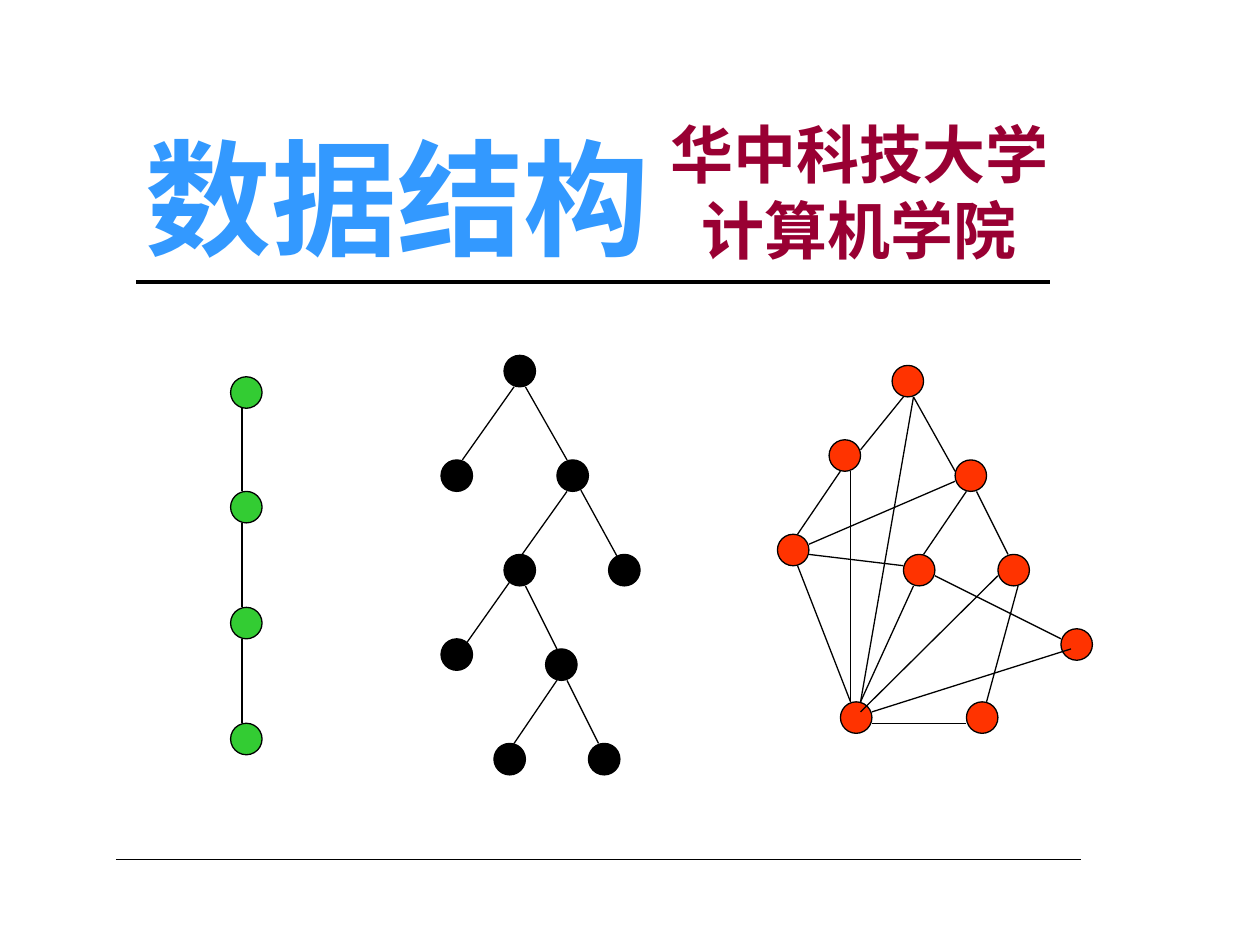
"""Build the title slide of a data structures course with a list, a tree and a graph."""
from lxml import etree
from pptx import Presentation
from pptx.dml.color import RGBColor
from pptx.enum.shapes import MSO_CONNECTOR, MSO_SHAPE
from pptx.enum.text import MSO_ANCHOR, MSO_AUTO_SIZE, PP_ALIGN
from pptx.oxml.ns import qn
from pptx.util import Pt

PX = 9144
STRAIGHT = MSO_CONNECTOR.STRAIGHT
OVAL = MSO_SHAPE.OVAL
LEFT, CENTER = PP_ALIGN.LEFT, PP_ALIGN.CENTER
TOP = MSO_ANCHOR.TOP
FIXED = MSO_AUTO_SIZE.NONE

BLACK = RGBColor(0x00, 0x00, 0x00)
GREEN = RGBColor(0x33, 0xCC, 0x33)
RED = RGBColor(0xFF, 0x33, 0x00)
BLUE = RGBColor(0x33, 0x99, 0xFF)
MAROON = RGBColor(0x99, 0x00, 0x33)

NODE_SIZE = 25
TEXT_TOP, TEXT_HEIGHT = 82, 130
LINE_HEIGHT = 1.2

HEADINGS = [
    {"lines": ["数据结构"], "left": 106, "width": 420, "inset": 14, "size": 72,
     "font": "Noto Sans CJK JP", "color": BLUE, "align": LEFT},
    {"lines": ["华中科技大学", "计算机学院"], "left": 522, "width": 320, "inset": 10, "size": 36,
     "font": "Noto Sans CJK SC", "color": MAROON, "align": CENTER},
]

RULES = [((108, 224, 833, 224), 2.25), ((92, 682, 858, 682), 0.75)]

LIST_TOPS = [299, 390, 482, 574]
LIST_NODES = [(183, top) for top in LIST_TOPS]
LIST_EDGES = [(192, top + NODE_SIZE, 192, following)
              for top, following in zip(LIST_TOPS, LIST_TOPS[1:])]

TREE_NODES = [(400, 282), (350, 365), (442, 365), (400, 440), (483, 440),
              (350, 507), (433, 515), (392, 590), (467, 590)]
TREE_EDGES = [
    (408, 307, 367, 365), (417, 307, 450, 365), (450, 390, 408, 449), (461, 389, 490, 442),
    (408, 457, 367, 515), (417, 465, 442, 515), (442, 540, 408, 590), (450, 540, 475, 590),
]

GRAPH_NODES = [(708, 290), (658, 349), (758, 365), (617, 424), (717, 440),
               (792, 440), (842, 499), (667, 557), (767, 557)]
GRAPH_EDGES = [
    (717, 315, 683, 357), (725, 315, 758, 374), (725, 315, 683, 557), (667, 374, 633, 424),
    (675, 374, 675, 557), (642, 432, 758, 382), (767, 390, 733, 440), (775, 390, 800, 440),
    (642, 440, 717, 449), (633, 449, 675, 557), (725, 465, 683, 557), (742, 457, 842, 507),
    (792, 457, 683, 565), (808, 465, 783, 557), (692, 565, 850, 515), (692, 574, 767, 574),
]

STRUCTURES = [
    (LIST_NODES, LIST_EDGES, GREEN),
    (TREE_NODES, TREE_EDGES, BLACK),
    (GRAPH_NODES, GRAPH_EDGES, RED),
]


def add_line(slide, ends, width=0.75):
    connector = slide.shapes.add_connector(STRAIGHT, *(value * PX for value in ends))
    connector.line.color.rgb = BLACK
    connector.line.width = Pt(width)
    etree.SubElement(connector._element.spPr, qn("a:effectLst"))


def add_node(slide, left, top, color):
    node = slide.shapes.add_shape(OVAL, left * PX, top * PX, NODE_SIZE * PX, NODE_SIZE * PX)
    node.shadow.inherit = False
    node.fill.solid()
    node.fill.fore_color.rgb = color
    node.line.color.rgb = BLACK
    node.line.width = Pt(0.75)


def add_heading(slide, heading):
    box = slide.shapes.add_textbox(heading["left"] * PX, TEXT_TOP * PX,
                                   heading["width"] * PX, TEXT_HEIGHT * PX)
    frame = box.text_frame
    frame.word_wrap = False
    frame.auto_size = FIXED
    frame.vertical_anchor = TOP
    frame.margin_top = heading["inset"] * PX
    frame.margin_bottom = 0
    for index, line in enumerate(heading["lines"]):
        paragraph = frame.add_paragraph() if index else frame.paragraphs[0]
        paragraph.alignment = heading["align"]
        paragraph.line_spacing = Pt(heading["size"] * LINE_HEIGHT)
        run = paragraph.add_run()
        run.text = line
        run.font.size = Pt(heading["size"])
        run.font.bold = True
        run.font.color.rgb = heading["color"]
        run.font.name = heading["font"]
        east_asian = etree.SubElement(run.font._element, qn("a:ea"))
        east_asian.set("typeface", heading["font"])


def main():
    presentation = Presentation()
    presentation.slide_width = 1000 * PX
    presentation.slide_height = 750 * PX
    slide = presentation.slides.add_slide(presentation.slide_layouts[6])
    for nodes, edges, color in STRUCTURES:
        for left, top in nodes:
            add_node(slide, left, top, color)
        for edge in edges:
            add_line(slide, edge)
    for ends, width in RULES:
        add_line(slide, ends, width)
    for heading in HEADINGS:
        add_heading(slide, heading)
    presentation.save("out.pptx")


if __name__ == "__main__":
    main()
